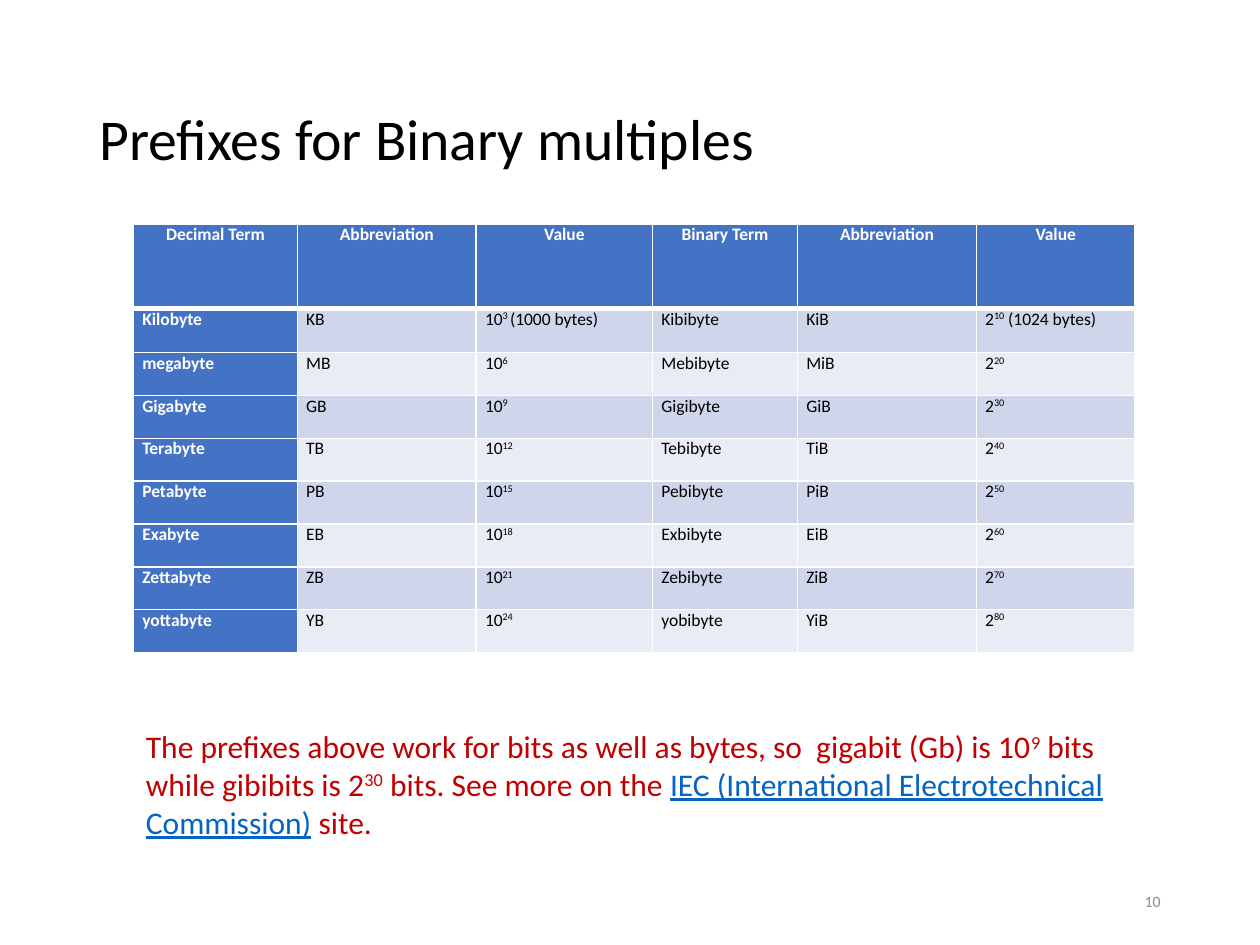
import pptx
import pptx.util
import pptx.dml.color
import pptx.enum.text
import lxml.etree
from dataclasses import dataclass
from pptx.util import Inches


@dataclass(frozen=True)
class Theme:
    font: str = "Calibri"
    black: str = "000000"
    white: str = "FFFFFF"
    header: str = "4472C4"
    bands: tuple = ("CFD5EA", "E9EBF5")
    note: str = "C00000"
    link: str = "0563C1"
    number: str = "8C8C8C"
    title_size: int = 33
    cell_size: int = 10
    note_size: int = 18
    number_size: int = 9


THEME = Theme()
ALIGN = pptx.enum.text.PP_ALIGN
MIDDLE = pptx.enum.text.MSO_ANCHOR.MIDDLE
TOP = pptx.enum.text.MSO_ANCHOR.TOP

TITLE = "Prefixes for Binary multiples"
HEADINGS = ["Decimal Term", "Abbreviation", "Value"] + ["Binary Term", "Abbreviation", "Value"]
PREFIXES = [
    ("Kilobyte", "KB", "Kibibyte", "KiB"),
    ("megabyte", "MB", "Mebibyte", "MiB"),
    ("Gigabyte", "GB", "Gigibyte", "GiB"),
    ("Terabyte", "TB", "Tebibyte", "TiB"),
    ("Petabyte", "PB", "Pebibyte", "PiB"),
    ("Exabyte", "EB", "Exbibyte", "EiB"),
    ("Zettabyte", "ZB", "Zebibyte", "ZiB"),
    ("yottabyte", "YB", "yobibyte", "YiB"),
]
KILO_VALUE = [("10", {}), ("3 ", {"raised": True}), ("(1000 bytes)", {})]
KIBI_VALUE = [("2", {}), ("10", {"raised": True}), (" (1024 bytes)", {})]
NOTE = [
    ("The prefixes above work for bits as well as bytes, so  gigabit (Gb) is 10", {}),
    ("9", {"raised": True}),
    (" bits while gibibits is 2", {}),
    ("30", {"raised": True}),
    (" bits. See more on the ", {}),
    ("IEC (International Electrotechnical Commission)", {"color": THEME.link, "underline": True}),
    (" site.", {}),
]
PAGE_NUMBER = "10"
COLUMN_WIDTHS = [1.3, 1.42, 1.4, 1.15, 1.42, 1.26]
ROW_HEIGHTS = [0.67, 0.35] + [0.34] * 7


def rgb(code):
    return pptx.dml.color.RGBColor.from_string(code)


def write(frame, runs, size, color, align=ALIGN.LEFT, bold=False, spacing=None):
    paragraph = frame.paragraphs[0]
    paragraph.alignment = align
    if spacing:
        paragraph.line_spacing = spacing
    for text, style in runs:
        run = paragraph.add_run()
        run.text = text
        run.font.name = THEME.font
        run.font.size = pptx.util.Pt(size)
        run.font.bold = bold
        run.font.color.rgb = rgb(style.get("color", color))
        if style.get("underline"):
            run.font.underline = True
        if style.get("raised"):
            run.font._element.set("baseline", "30000")


def add_text(slide, place, runs, size, color, anchor=TOP, **layout):
    frame = slide.shapes.add_textbox(*map(Inches, place)).text_frame
    frame.word_wrap = True
    frame.vertical_anchor = anchor
    write(frame, runs, size, color, **layout)


def set_borders(cell, widths):
    properties = cell._tc.get_or_add_tcPr()
    for index, (side, points) in enumerate(widths.items()):
        line = pptx.oxml.parse_xml(
            f'<a:ln{side} xmlns:a="http://schemas.openxmlformats.org/drawingml/2006/main"'
            f' w="{points * 12700}"><a:solidFill><a:srgbClr val="{THEME.white}"/>'
            f'</a:solidFill></a:ln{side}>')
        properties.insert(index, line)


def power(base, exponent):
    return [(base, {}), (str(exponent), {"raised": True})]


def prefix_row(step, names):
    decimal, decimal_short, binary, binary_short = ([(name, {})] for name in names)
    decimal_value = KILO_VALUE if step == 1 else power("10", 3 * step)
    binary_value = KIBI_VALUE if step == 1 else power("2", 10 * step)
    return [decimal, decimal_short, decimal_value, binary, binary_short, binary_value]


def add_prefix_table(slide):
    rows = [[[(heading, {})] for heading in HEADINGS]]
    rows += [prefix_row(step, names) for step, names in enumerate(PREFIXES, 1)]
    place = map(Inches, (1.06, 1.78, sum(COLUMN_WIDTHS), sum(ROW_HEIGHTS)))
    table = slide.shapes.add_table(len(rows), len(HEADINGS), *place).table
    table.first_col = True
    for column, width in zip(table.columns, COLUMN_WIDTHS):
        column.width = Inches(width)
    for row, height in zip(table.rows, ROW_HEIGHTS):
        row.height = Inches(height)
    for r, row in enumerate(rows):
        for c, runs in enumerate(row):
            cell = table.cell(r, c)
            strong = r == 0 or c == 0
            cell.margin_left = cell.margin_right = Inches(0.07)
            cell.margin_top = cell.margin_bottom = 0
            cell.fill.solid()
            cell.fill.fore_color.rgb = rgb(THEME.header if strong else THEME.bands[(r - 1) % 2])
            set_borders(cell, {"L": 1, "R": 1, "T": 3 if r == 1 else 1, "B": 3 if r == 0 else 1})
            write(cell.text_frame, runs, THEME.cell_size,
                  THEME.white if strong else THEME.black,
                  ALIGN.CENTER if r == 0 else ALIGN.LEFT, strong)


deck = pptx.Presentation()
deck.slide_width, deck.slide_height = Inches(10), Inches(7.5)
slide = deck.slides.add_slide(deck.slide_layouts[6])
add_text(slide, (0.69, 0.4, 8.62, 1.45), [(TITLE, {})], THEME.title_size, THEME.black,
         anchor=MIDDLE, spacing=0.9)
add_prefix_table(slide)
add_text(slide, (7.06, 6.95, 2.25, 0.4), [(PAGE_NUMBER, {})], THEME.number_size, THEME.number,
         anchor=MIDDLE, align=ALIGN.RIGHT)
add_text(slide, (1.06, 5.72, 8.03, 1.01), NOTE, THEME.note_size, THEME.note)
deck.save("out.pptx")
